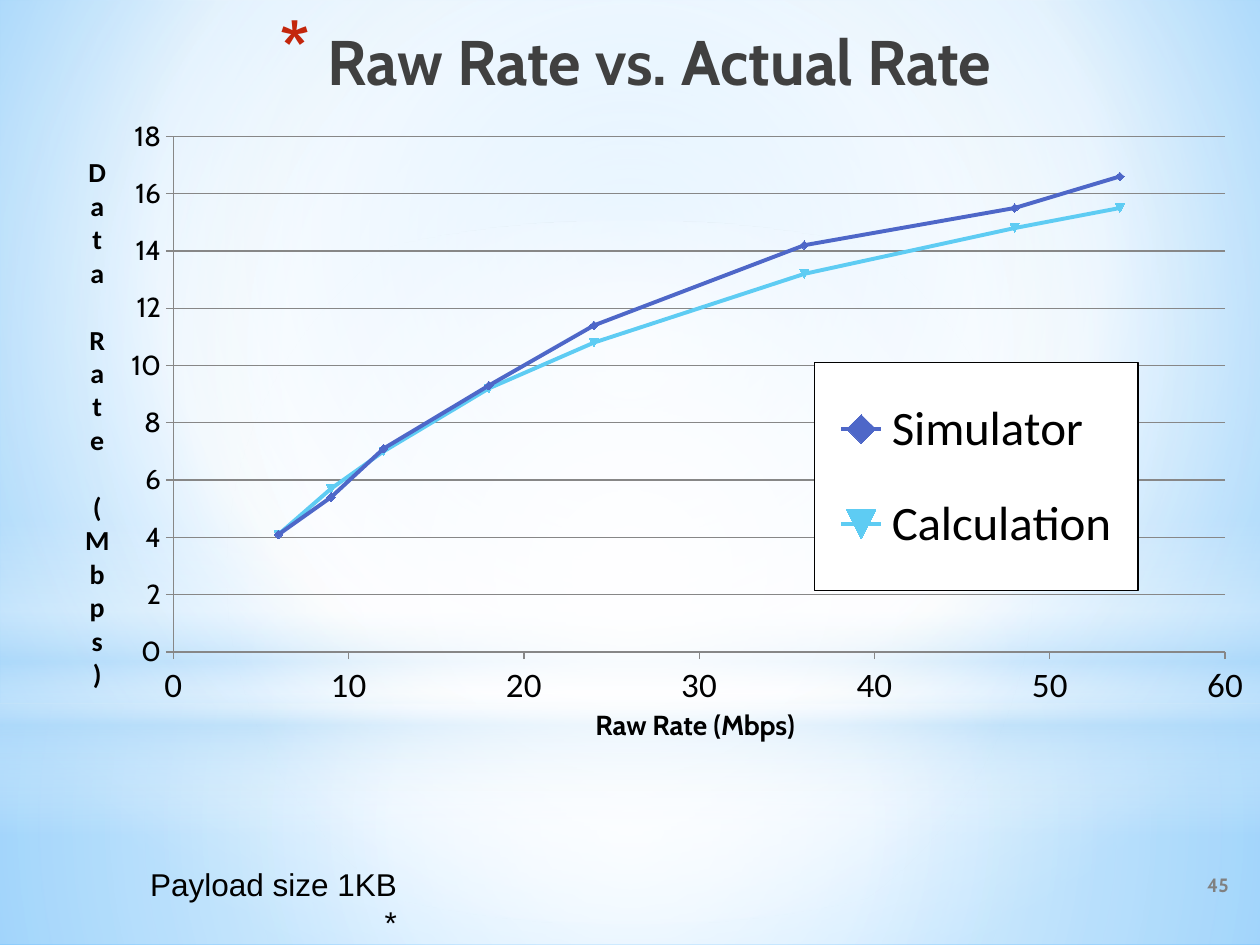
from lxml import etree
from pptx import Presentation
from pptx.chart.data import XyChartData
from pptx.dml.color import RGBColor
from pptx.enum.chart import XL_CHART_TYPE as ChartType
from pptx.enum.chart import XL_LEGEND_POSITION as LegendPlace
from pptx.enum.chart import XL_MARKER_STYLE as Marker
from pptx.enum.chart import XL_TICK_MARK as Tick
from pptx.enum.shapes import MSO_SHAPE as Preset
from pptx.enum.text import MSO_ANCHOR as Anchor
from pptx.enum.text import PP_ALIGN as Align
from pptx.oxml import parse_xml
from pptx.oxml.ns import nsdecls, qn
from pptx.util import Pt

COLORS = {
    "black": "000000", "white": "FFFFFF", "title": "404040", "star": "C3260C",
    "number": "808080", "grid": "878787", "mist": "B4DCFA",
    "sky": "9ED5FF", "edge": "5BB9FF",
    "Simulator": "4E67C8", "Calculation": "5ECCF3",
}
RAW_RATES = [6, 9, 12, 18, 24, 36, 48, 54]
DATA_RATES = {
    "Simulator": [4.1, 5.4, 7.1, 9.3, 11.4, 14.2, 15.5, 16.6],
    "Calculation": [4.1, 5.7, 7, 9.2, 10.8, 13.2, 14.8, 15.5],
}


def color(name):
    return RGBColor.from_string(COLORS[name])


def style_font(font, size, face="Cabin", tint="black", bold=False):
    font.size, font.name, font.bold = Pt(size), face, bold
    font.color.rgb = color(tint)


def write_text(frame, text, align=Align.LEFT, anchor=Anchor.TOP,
               left=7.2, right=7.2, **font_format):
    frame.word_wrap = True
    frame.vertical_anchor = anchor
    frame.margin_left, frame.margin_right = Pt(left), Pt(right)
    frame.margin_top = frame.margin_bottom = Pt(3.6)
    para = frame.paragraphs[0]
    para.alignment = align
    for number, line in enumerate(text.split("\n")):
        if number:
            para.add_line_break()
        span = para.add_run()
        span.text = line
        style_font(span.font, **font_format)
    return para


def gradient(stops, focus=None):
    """Stops are (position, colour, opacity); no focus means top to bottom."""
    marks = "".join(
        f'<a:gs pos="{pos * 1000}"><a:srgbClr val="{COLORS[name]}">'
        f'<a:alpha val="{opacity * 1000}"/></a:srgbClr></a:gs>'
        for pos, name, opacity in stops)
    if focus:
        sides = " ".join(f'{side}="{value * 1000}"' for side, value in zip("ltrb", focus))
        path = f'<a:path path="circle"><a:fillToRect {sides}/></a:path>'
    else:
        path = '<a:lin ang="5400000" scaled="0"/>'
    return parse_xml(f'<a:gradFill {nsdecls("a")} rotWithShape="1">'
                     f'<a:gsLst>{marks}</a:gsLst>{path}</a:gradFill>')


def add_backdrop(page, box):
    left, top, width, height = box
    page.background.fill.solid()
    holder = page.element.find(".//" + qn("p:bgPr"))
    holder.replace(holder[0], gradient(
        [(0, "sky", 100), (60, "white", 100), (100, "edge", 100)], (20, 10, 20, 60)))
    center = (50, 50, 50, 50)
    layers = [
        (Preset.RECTANGLE, 402, 138, center,
         [(0, "white", 91), (37, "white", 76), (100, "mist", 79)]),
        (Preset.RECTANGLE, 0, 402, center,
         [(0, "white", 89), (48, "white", 62), (100, "mist", 79)]),
        (Preset.RECTANGLE, 297, 180, None,
         [(0, "white", 0), (29, "white", 30), (45, "mist", 40),
          (55, "white", 26), (65, "mist", 60), (100, "white", 0)]),
        (Preset.OVAL, 126, 402, center, [(0, "white", 100), (56, "white", 0)]),
    ]
    for preset, offset, depth, focus, stops in layers:
        layer = page.shapes.add_shape(preset, Pt(left), Pt(top + offset), Pt(width), Pt(depth))
        layer.shadow.inherit = False
        layer.line.fill.background()
        layer.fill.background()
        outline = layer.element.spPr
        outline.replace(outline.find(qn("a:noFill")), gradient(stops, focus))


def set_layout(parent, position, left, top, width=None, height=None, target=""):
    old = parent.find(qn("c:layout"))
    if old is not None:
        parent.remove(old)
    parts = f"{target}<c:xMode val=\"edge\"/><c:yMode val=\"edge\"/>"
    for tag, value in zip("xywh", (left, top, width, height)):
        if value is not None:
            parts += f'<c:{tag} val="{value}"/>'
    parent.insert(position, parse_xml(
        f'<c:layout {nsdecls("c")}><c:manualLayout>{parts}</c:manualLayout></c:layout>'))


def format_axis(axis, title, top, step, size, face, title_face):
    axis.minimum_scale, axis.maximum_scale, axis.major_unit = 0, top, step
    axis.major_tick_mark, axis.minor_tick_mark = Tick.OUTSIDE, Tick.NONE
    axis.format.line.color.rgb = color("grid")
    style_font(axis.tick_labels.font, size, face)
    axis.tick_labels.number_format = "General"
    axis.tick_labels.number_format_is_linked = False
    span = axis.axis_title.text_frame.paragraphs[0].add_run()
    span.text = title
    style_font(span.font, 16, title_face, bold=True)


def add_rate_chart(page, box):
    data = XyChartData()
    for name, rates in DATA_RATES.items():
        series = data.add_series(name)
        for raw, rate in zip(RAW_RATES, rates):
            series.add_data_point(raw, rate)
    chart = page.shapes.add_chart(ChartType.XY_SCATTER_LINES, *map(Pt, box), data).chart
    chart.has_title = False
    style_font(chart.font, 10)
    chart.plots[0].vary_by_categories = False

    # Axes, with the vertical title set letter under letter
    format_axis(chart.category_axis, "Raw Rate (Mbps)", 60, 10, 20, "Calibri", "Cabin")
    format_axis(chart.value_axis, "Data Rate (Mbps)", 18, 2, 16, "Cabin", "Calibri")
    chart.category_axis.has_major_gridlines = False
    chart.value_axis.has_major_gridlines = True
    chart.value_axis.major_gridlines.format.line.color.rgb = color("grid")
    raw_title, data_title = chart.element.iter(qn("c:title"))
    set_layout(raw_title, 1, 0.46, 0.95)
    set_layout(data_title, 1, 0.05, 0.15)
    body = data_title.find(".//" + qn("a:bodyPr"))
    body.set("rot", "0")
    body.set("vert", "wordArtVert")

    # Lines and markers
    for series in chart.plots[0].series:
        series.smooth = False
        series.format.line.width = Pt(2.25)
        series.format.line.color.rgb = color(series.name)
        series.marker.size = 5
        series.marker.format.fill.solid()
        series.marker.format.fill.fore_color.rgb = color(series.name)
        series.marker.format.line.color.rgb = color(series.name)
    chart.plots[0].series[0].marker.style = Marker.DIAMOND
    # Automatic markers follow the series index, counted from one here
    for number, node in enumerate(chart.element.iter(qn("c:ser")), 1):
        node.find(qn("c:idx")).set("val", str(number))

    # Legend and plot area
    chart.has_legend = True
    chart.legend.position = LegendPlace.CORNER
    chart.legend.include_in_layout = False
    style_font(chart.legend.font, 28, "Calibri")
    legend = chart.element.find(".//" + qn("c:legend"))
    set_layout(legend, 1, 0.64, 0.46, 0.26, 0.33)
    legend.find(qn("c:overlay")).addnext(parse_xml(
        f'<c:spPr {nsdecls("c", "a")}>'
        f'<a:solidFill><a:srgbClr val="{COLORS["white"]}"/></a:solidFill>'
        f'<a:ln w="9525"><a:solidFill><a:srgbClr val="{COLORS["black"]}"/></a:solidFill></a:ln>'
        '</c:spPr>'))
    set_layout(chart.element.find(".//" + qn("c:plotArea")), 0, 0.125, 0.132, 0.845, 0.747,
               target='<c:layoutTarget val="inner"/>')


def place_title(page, box):
    title = page.shapes.title
    title.left, title.top, title.width, title.height = map(Pt, box)
    para = write_text(title.text_frame, "Raw Rate vs. Actual Rate", align=Align.CENTER,
                      size=36, tint="title", bold=True)
    props = para._p.get_or_add_pPr()
    props.set("marL", str(Pt(27.36)))
    props.set("indent", str(-Pt(27.36)))
    tint = etree.SubElement(etree.SubElement(props, qn("a:buClr")), qn("a:srgbClr"))
    tint.set("val", COLORS["star"])
    etree.SubElement(props, qn("a:buSzPct")).set("val", "128000")
    etree.SubElement(props, qn("a:buChar")).set("char", "*")
    # Bring the title in front of the backdrop
    title.element.getparent().append(title.element)


def add_label(page, box, text, **text_format):
    label = page.shapes.add_textbox(*map(Pt, box))
    write_text(label.text_frame, text, align=Align.RIGHT, **text_format)


def main():
    deck = Presentation()
    deck.slide_width, deck.slide_height = Pt(720), Pt(540)
    page = deck.slides.add_slide(deck.slide_layouts[5])
    add_backdrop(page, (0, 0, 720, 540))
    add_rate_chart(page, (10.08, 25.92, 711.36, 402.48))
    place_title(page, (65.52, 9.36, 595.44, 79.2))
    add_label(page, (444.96, 491.04, 264.24, 28.8), "45", anchor=Anchor.MIDDLE,
              size=11, tint="number", bold=True)
    add_label(page, (79.2, 491.04, 166.32, 28.8), "Payload size 1KB\n*",
              left=0, right=18.7, size=18, face="Arial")
    deck.save("out.pptx")


if __name__ == "__main__":
    main()
